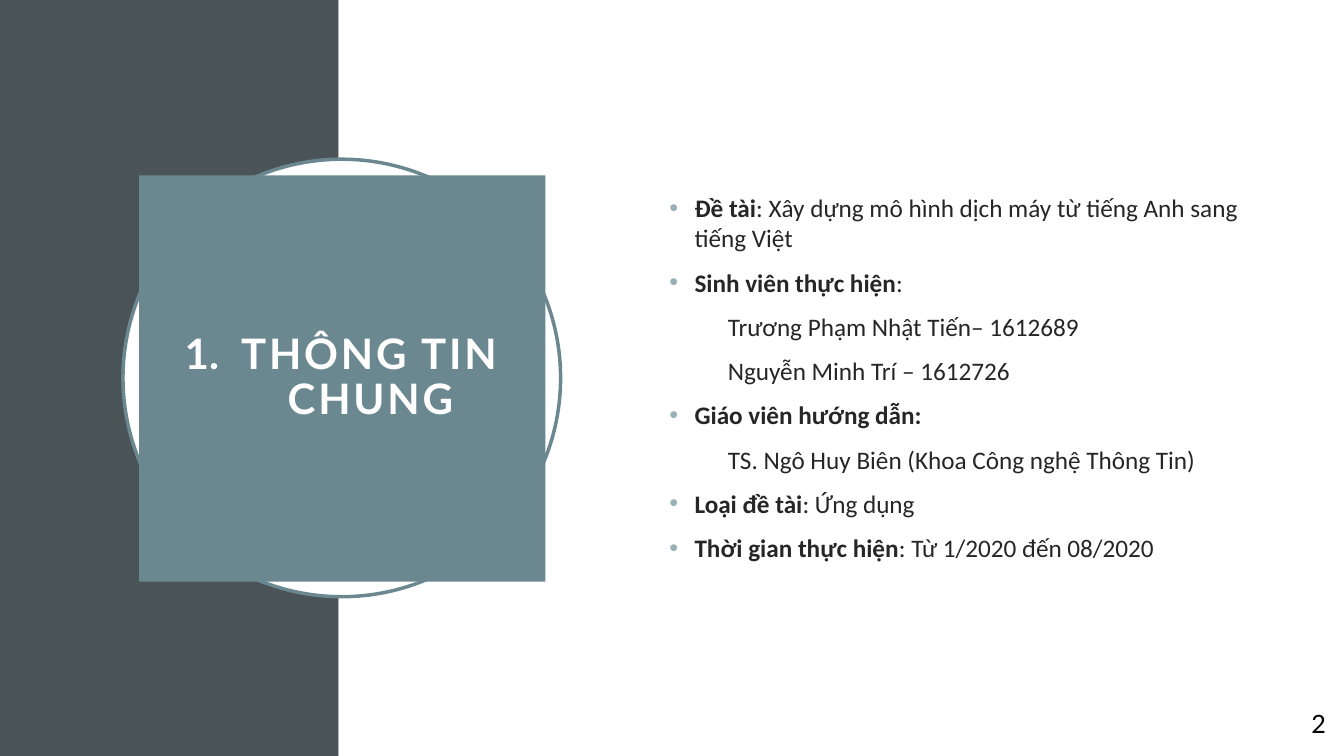
import pptx
import pptx.util
import pptx.dml.color
import pptx.enum.shapes
import pptx.enum.text
import pptx.oxml
import pptx.oxml.ns

Inches = pptx.util.Inches
Pt = pptx.util.Pt
ANCHOR = pptx.enum.text.MSO_ANCHOR
CENTER = pptx.enum.text.PP_ALIGN.CENTER
SHAPE = pptx.enum.shapes.MSO_SHAPE

HEADING = "THÔNG TIN CHUNG"
PAGE_NUMBER = "2"
DETAILS = [
    ("Đề tài", ": Xây dựng mô hình dịch máy từ tiếng Anh sang tiếng Việt"),
    ("Sinh viên thực hiện", ":"),
    ("", "Trương Phạm Nhật Tiến– 1612689"),
    ("", "Nguyễn Minh Trí – 1612726"),
    ("Giáo viên hướng dẫn:", ""),
    ("", "TS. Ngô Huy Biên (Khoa Công nghệ Thông Tin)"),
    ("Loại đề tài", ": Ứng dụng"),
    ("Thời gian thực hiện", ": Từ 1/2020 đến 08/2020"),
]
COLORS = {
    "slate": "4A5356",
    "teal": "6B8891",
    "bullet": "9BAFB5",
    "ink": "262626",
    "white": "FFFFFF",
    "black": "000000",
}
WIDTH, HEIGHT = 13.33, 7.5
BAND_WIDTH = 3.36
RING_BOX = (1.22, 1.58, 4.34, 4.34)
HEADING_BOX = (1.38, 1.74, 4.03, 4.03)
DETAILS_BOX = (6.12, 1.53, 6.75, 4.43)
NUMBER_BOX = (12.83, 6.98, 0.5, 0.71)
FONTS = {
    "heading": {"name": "Lato", "size": Pt(30), "bold": True},
    "label": {"name": "Calibri", "size": Pt(18), "bold": True},
    "value": {"name": "Calibri", "size": Pt(18), "bold": False},
    "number": {"name": "Lato", "size": Pt(18), "bold": False},
}


def rgb(color):
    return pptx.dml.color.RGBColor.from_string(COLORS[color])


def apply(target, values):
    for attribute, value in values.items():
        setattr(target, attribute, value)


def add_run(paragraph, text, style, color):
    run = paragraph.add_run()
    run.text = text
    apply(run.font, FONTS[style])
    run.font.color.rgb = rgb(color)
    return run


def add_panel(slide, kind, box, fill, outline=None):
    panel = slide.shapes.add_shape(kind, *map(Inches, box))
    panel.shadow.inherit = False
    panel.fill.solid()
    panel.fill.fore_color.rgb = rgb(fill)
    if outline:
        panel.line.color.rgb = rgb(outline)
        panel.line.width = Pt(2.5)
    else:
        panel.line.fill.background()


def set_list(paragraph, indent, hanging, *markers):
    properties = paragraph._p.get_or_add_pPr()
    properties.set("marL", str(Inches(indent)))
    properties.set("indent", str(-Inches(hanging)))
    for marker in markers:
        namespace = pptx.oxml.ns.nsdecls("a")
        properties.append(pptx.oxml.parse_xml(marker.replace(" ", f" {namespace} ", 1)))


def add_heading(slide):
    heading = slide.shapes.title
    heading.element.getparent().append(heading.element)
    apply(heading, dict(zip(("left", "top", "width", "height"), map(Inches, HEADING_BOX))))
    heading.fill.solid()
    heading.fill.fore_color.rgb = rgb("teal")
    frame = heading.text_frame
    apply(frame, {
        "word_wrap": True,
        "auto_size": pptx.enum.text.MSO_AUTO_SIZE.NONE,
        "vertical_anchor": ANCHOR.MIDDLE,
    })
    apply(frame, {f"margin_{side}": Inches(0.2) for side in ("left", "top", "right", "bottom")})
    paragraph = frame.paragraphs[0]
    apply(paragraph, {"alignment": CENTER, "line_spacing": 0.9})
    set_list(paragraph, 0.56, 0.56, '<a:buFont typeface="+mj-lt"/>', '<a:buAutoNum type="arabicPeriod"/>')
    run = add_run(paragraph, HEADING, "heading", "white")
    run.font._element.set("spc", "200")


def add_text(slide, box, anchor):
    frame = slide.shapes.add_textbox(*map(Inches, box)).text_frame
    apply(frame, {"word_wrap": True, "vertical_anchor": anchor})
    return frame


def add_details(slide):
    frame = add_text(slide, DETAILS_BOX, ANCHOR.MIDDLE)
    for index, (label, value) in enumerate(DETAILS):
        paragraph = frame.add_paragraph() if index else frame.paragraphs[0]
        paragraph.space_before = Pt(10)
        if label:
            set_list(
                paragraph, 0.67, 0.25,
                f'<a:buClr ><a:srgbClr val="{COLORS["bullet"]}"/></a:buClr>',
                '<a:buFont typeface="Arial"/>',
                '<a:buChar char="•"/>',
            )
            add_run(paragraph, label, "label", "ink")
        else:
            set_list(paragraph, 1, 0)
        if value:
            add_run(paragraph, value, "value", "ink")


def main():
    presentation = pptx.Presentation()
    apply(presentation, {"slide_width": Inches(WIDTH), "slide_height": Inches(HEIGHT)})
    slide = presentation.slides.add_slide(presentation.slide_layouts[5])

    add_panel(slide, SHAPE.RECTANGLE, (0, 0, BAND_WIDTH, HEIGHT), "slate")
    add_panel(slide, SHAPE.RECTANGLE, (BAND_WIDTH, 0, WIDTH - BAND_WIDTH, HEIGHT), "white")
    add_panel(slide, SHAPE.OVAL, RING_BOX, "white", "teal")
    add_heading(slide)
    add_details(slide)

    number = add_text(slide, NUMBER_BOX, ANCHOR.TOP).paragraphs[0]
    number.alignment = CENTER
    add_run(number, PAGE_NUMBER, "number", "black")

    presentation.save("out.pptx")


if __name__ == "__main__":
    main()
